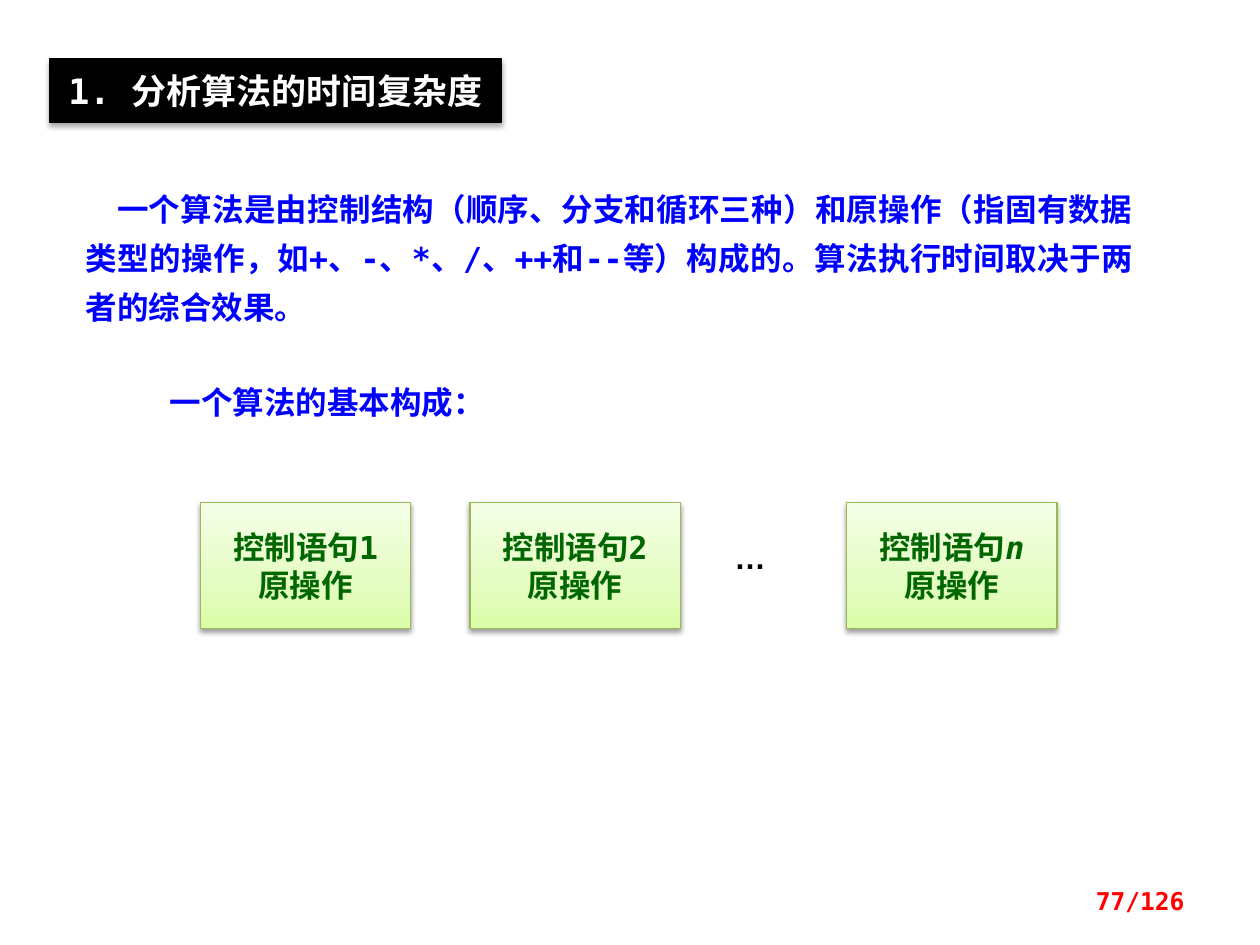
from dataclasses import dataclass
from typing import NamedTuple

from lxml.etree import SubElement
from pptx import Presentation
from pptx.dml.color import RGBColor
from pptx.enum.shapes import MSO_SHAPE
from pptx.enum.text import MSO_ANCHOR as Anchor, MSO_AUTO_SIZE as AutoSize, PP_ALIGN as Align
from pptx.oxml.ns import qn
from pptx.util import Pt


@dataclass(frozen=True)
class Theme:
    mono: str = "DejaVu Sans Mono"
    sans: str = "Arial"
    title_size: float = 20
    body_size: float = 18
    page_size: float = 14
    black: str = "000000"
    white: str = "FFFFFF"
    body: str = "0000FF"
    block_text: str = "006600"
    block_line: str = "98B955"
    page_number: str = "FF0000"
    block_stops: tuple = ((0, "DAFDA7"), (35, "E4FCC2"), (100, "F5FFE7"))
    line_width: float = 0.75


THEME = Theme()


class Area(NamedTuple):
    left: float
    top: float
    width: float
    height: float


class Block(NamedTuple):
    left: float
    suffix: str
    italic: bool = False


BLOCK_TOP, BLOCK_WIDTH, BLOCK_HEIGHT = 287.3, 120.2, 72
BLOCKS = (Block(114.5, "1"), Block(268.6, "2"), Block(483.8, "n", italic=True))


def add_span(para, text: str, *, color: str, size: float = THEME.body_size,
             font: str = THEME.mono, italic: bool = False) -> None:
    span = para.add_run()
    span.text = text
    span.font.name = font
    span.font.size = Pt(size)
    span.font.bold = True
    span.font.italic = italic
    span.font.color.rgb = RGBColor.from_string(color)


def add_text(page, area: Area, text: str, *, align=Align.LEFT, anchor=Anchor.TOP,
             spacing: float = 1.0, indent: float = 0, grow: bool = True, **style) -> None:
    box = page.shapes.add_textbox(*map(Pt, area))
    frame = box.text_frame
    frame.word_wrap = True
    frame.auto_size = AutoSize.SHAPE_TO_FIT_TEXT if grow else AutoSize.NONE
    frame.vertical_anchor = anchor
    para = frame.paragraphs[0]
    para.alignment = align
    para.line_spacing = spacing
    if indent:
        para._p.get_or_add_pPr().set("indent", str(Pt(indent)))
    add_span(para, text, **style)


def add_shadow(box, *, opacity: int, distance: float) -> None:
    """Give the box a soft shadow straight below it."""
    box.shadow.inherit = False
    effects = box._element.spPr.find(qn("a:effectLst"))
    shadow = SubElement(effects, qn("a:outerShdw"), blurRad=str(Pt(3.1)),
                        dist=str(Pt(distance)), dir="5400000", rotWithShape="0")
    color = SubElement(shadow, qn("a:srgbClr"), val=THEME.black)
    SubElement(color, qn("a:alpha"), val=str(opacity * 1000))


def add_panel(page, area: Area, *, line: str, opacity: int, distance: float):
    box = page.shapes.add_shape(MSO_SHAPE.RECTANGLE, *map(Pt, area))
    box.line.color.rgb = RGBColor.from_string(line)
    box.line.width = Pt(THEME.line_width)
    add_shadow(box, opacity=opacity, distance=distance)
    return box


def fill_gradient(box) -> None:
    """Fill from the bottom up with the theme's three block colours."""
    box.fill.gradient()
    box.fill.gradient_angle = 90
    stops = box._element.spPr.find(qn("a:gradFill")).find(qn("a:gsLst"))
    for stop in list(stops):
        stops.remove(stop)
    for position, color in THEME.block_stops:
        stop = SubElement(stops, qn("a:gs"), pos=str(position * 1000))
        SubElement(stop, qn("a:srgbClr"), val=color)


def add_title(page, text: str) -> None:
    box = add_panel(page, Area(28.1, 33.8, 258.5, 36), line=THEME.black,
                    opacity=35, distance=1.8)
    box.fill.solid()
    box.fill.fore_color.rgb = RGBColor.from_string(THEME.black)
    frame = box.text_frame
    frame.word_wrap = True
    frame.auto_size = AutoSize.SHAPE_TO_FIT_TEXT
    frame.vertical_anchor = Anchor.TOP
    frame.margin_top = frame.margin_bottom = Pt(5.7)
    para = frame.paragraphs[0]
    para.alignment = Align.CENTER
    add_span(para, text, color=THEME.white, size=THEME.title_size)


def add_block(page, block: Block) -> None:
    box = add_panel(page, Area(block.left, BLOCK_TOP, BLOCK_WIDTH, BLOCK_HEIGHT),
                    line=THEME.block_line, opacity=38, distance=1.6)
    fill_gradient(box)
    frame = box.text_frame
    frame.word_wrap = False
    frame.vertical_anchor = Anchor.MIDDLE
    statement, operation = frame.paragraphs[0], frame.add_paragraph()
    statement.alignment = operation.alignment = Align.CENTER
    if block.italic:
        add_span(statement, "控制语句", color=THEME.block_text)
        add_span(statement, block.suffix, color=THEME.block_text, italic=True)
    else:
        add_span(statement, "控制语句" + block.suffix, color=THEME.block_text)
    add_span(operation, "原操作", color=THEME.block_text)


def main() -> None:
    deck = Presentation()
    deck.slide_width, deck.slide_height = Pt(720), Pt(540)
    page = deck.slides.add_slide(deck.slide_layouts[6])

    add_text(page, Area(41.8, 98.6, 612.7, 92.2),
             "一个算法是由控制结构（顺序、分支和循环三种）和原操作（指固有数据类型的操作，"
             "如+、-、*、/、++和--等）构成的。算法执行时间取决于两者的综合效果。",
             align=Align.JUSTIFY, spacing=1.3, indent=18, color=THEME.body)
    add_text(page, Area(90, 219.6, 277.9, 24.5), "一个算法的基本构成：",
             spacing=0.8, color=THEME.body)
    for block in BLOCKS:
        add_block(page, block)
    add_text(page, Area(412.6, 303.8, 54, 28.8), "…", font=THEME.sans, color=THEME.black)
    add_title(page, "1. 分析算法的时间复杂度")
    add_text(page, Area(516.2, 500.4, 167.8, 28.8), "77/126", align=Align.RIGHT,
             anchor=Anchor.MIDDLE, grow=False, size=THEME.page_size, color=THEME.page_number)

    deck.save("out.pptx")


if __name__ == "__main__":
    main()
